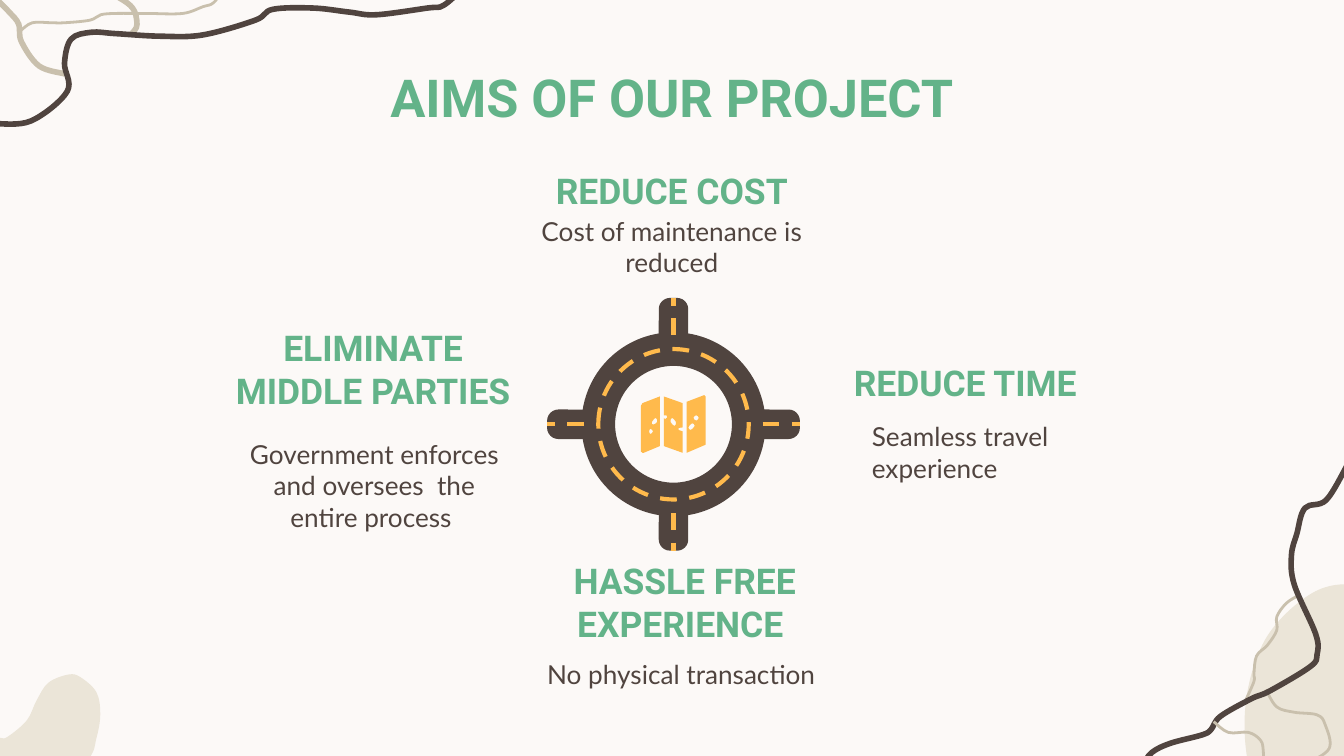
from lxml import etree
from pptx import Presentation
from pptx.dml.color import RGBColor
from pptx.enum import dml, shapes, text
from pptx.oxml import ns
from pptx.util import Pt

CREAM, SAND, TAN = "FCF9F7", "EBE5D8", "C9C0AD"
BROWN, GREEN, YELLOW = "50443F", "63B389", "FFBA4C"
color = RGBColor.from_string
CENTER, LEFT = text.PP_ALIGN.CENTER, text.PP_ALIGN.LEFT
TOP, MIDDLE, BOTTOM = text.MSO_ANCHOR.TOP, text.MSO_ANCHOR.MIDDLE, text.MSO_ANCHOR.BOTTOM

presentation = Presentation()
presentation.slide_width, presentation.slide_height = Pt(720), Pt(405)
slide = presentation.slides.add_slide(presentation.slide_layouts[6])
slide.background.fill.solid()
slide.background.fill.fore_color.rgb = color(CREAM)


def bend(segments, closed):
    """Turn the lines through a contour's knots into smooth Bezier curves."""
    knots = [(int(s[0].get("x")), int(s[0].get("y"))) for s in segments]
    before, after = (knots[-2], knots[1]) if closed else (knots[0], knots[-1])
    padded = [before, *knots, after]
    for segment, a, b, c, d in zip(segments[1:], padded, padded[1:], padded[2:], padded[3:]):
        controls = [[q + (r - p) / 6 for p, q, r in zip(a, b, c)],
                    [r - (s - q) / 6 for q, r, s in zip(b, c, d)]]
        curve = etree.Element(ns.qn("a:cubicBezTo"))
        for x, y in [*controls, c]:
            etree.SubElement(curve, ns.qn("a:pt"), x=str(round(x)), y=str(round(y)))
        segment.getparent().replace(segment, curve)


def add_outline(contours, fill=None, line=None, width=0, straight=0):
    """Draw contours as one shape, closed if filled; the first `straight` keep corners."""
    builder = None
    for contour in contours:
        start, *rest = [(Pt(x), Pt(y)) for x, y in contour]
        if builder is None:
            builder = slide.shapes.build_freeform(*start, scale=1.0)
        else:
            builder.move_to(*start)
        builder.add_line_segments(rest + [start] if fill else rest, close=bool(fill))
    shape = builder.convert_to_shape()
    segments = [s for s in shape._element.iter(ns.qn("a:moveTo"), ns.qn("a:lnTo"))]
    first = 0
    for index, contour in enumerate(contours):
        end = first + len(contour) + bool(fill)
        if index >= straight:
            bend(segments[first:end], bool(fill))
        first = end
    shape.shadow.inherit = False
    if fill:
        shape.fill.solid()
        shape.fill.fore_color.rgb = color(fill)
        shape.line.fill.background()
    else:
        shape.fill.background()
        shape.line.color.rgb = color(line)
        shape.line.width = Pt(width)


# Corner decoration
right_blob = [(747.4, 324), (726.5, 313.5), (703.4, 317.5), (679.3, 340.2), (668, 372.2),
              (668.2, 406.4), (679, 435.6), (687.6, 446.4), (779.8, 453.6), (799.2, 406.8),
              (784.8, 397.4), (772.6, 389.5), (758.2, 343.4)]
left_blob = [(-43.2, 352.1), (-56.9, 357.1), (-66.2, 370.1), (-66.2, 395.3), (-49.7, 422.6),
             (-17.3, 437), (-3.6, 438.5), (28.8, 429.8), (47.5, 406.8), (51.6, 395.8),
             (53.7, 383), (51.7, 371), (43.2, 362.9), (36.7, 361.4), (25.9, 365.8),
             (19.6, 375.3), (14.4, 385.9), (4.3, 394.6), (0, 395.3), (-7.9, 392.4),
             (-15.1, 375.8), (-26.6, 358.6)]
strands = [
    (TAN, 3, [(70.6, 18), (73.4, 13), (69.8, 2.9), (52.6, -7.2)]),
    (TAN, 1.5, [(678.2, 369.4), (684, 378.7), (693.4, 381.6), (705.6, 383), (709.9, 388.1),
                (712.1, 401), (699.1, 409.7)]),
    (TAN, 1.5, [(695.5, 319), (689, 323.3), (684, 330.5), (684, 337.7), (679, 345.6),
                (673.2, 351.4), (671.8, 360.7), (671.8, 365), (667.4, 375.1)]),
    (BROWN, 3, [(722.2, 248.4), (710.6, 267.8), (699.1, 272.2), (694.8, 285.8), (691.9, 297.4),
                (693.4, 313.2), (704.9, 339.8), (705.6, 350.6), (702, 357.1), (680.4, 370.1),
                (670.3, 374.4), (653.8, 383.8), (648.7, 391), (643.7, 393.8), (627.1, 398.2),
                (617, 403.2), (612, 410.4)]),
    (TAN, 1.5, [(650.2, 386.6), (658.1, 392.4), (668.9, 392.4), (675.4, 396.7),
                (676.8, 402.5), (676.8, 409.7)]),
    (TAN, 3, [(34.6, 39.6), (20.9, 35.3), (11.5, 22.3), (10.1, 13), (5, 6.5), (-2.2, -0.7)]),
    (BROWN, 3, [(-3.6, 66.2), (16.6, 64.8), (36, 49), (34.6, 33.8), (38.2, 20.9), (49, 17.3),
                (61.9, 18), (85.7, 19.4), (108.7, 18.7), (136.8, 10.8), (146.2, 5),
                (167.8, 4.3), (187.2, 6.5), (201.6, 7.9), (229, 4.3), (237.6, 2.9),
                (248.4, -6.5)]),
    (TAN, 1.5, [(10.8, 16.6), (17.3, 12.2), (27.4, 12.2), (34.6, 12.2), (48.2, 10.8),
                (54, 7.9), (61.9, 7.2), (73.4, 7.2), (79.9, 7.2), (97.9, 7.2), (108.7, 3.6),
                (114.5, 1.4), (120.2, -6.5)]),
]
add_outline([right_blob], fill=SAND)
for line_color, width, knots in strands:
    add_outline([knots], line=line_color, width=width)
add_outline([left_blob], fill=SAND)

# Roundabout: road ring, four arms with lane marks, dashed ring on top
center_x, center_y, diameter = 360.8, 227.3, 80.6
arm_length, arm_width, arm_distance = 27.4, 15.8, 54
mark_start, mark_end = 47.8, 67.7
ring_box = [Pt(center_x - diameter / 2), Pt(center_y - diameter / 2), Pt(diameter), Pt(diameter)]

road = slide.shapes.add_shape(shapes.MSO_SHAPE.OVAL, *ring_box)
road.shadow.inherit = False
road.fill.solid()
road.fill.fore_color.rgb = color(CREAM)
road.line.color.rgb = color(BROWN)
road.line.width = Pt(18)

for dx, dy in [(0, 1), (0, -1), (-1, 0), (1, 0)]:
    arm = slide.shapes.add_shape(
        shapes.MSO_SHAPE.ROUNDED_RECTANGLE,
        Pt(center_x + dx * arm_distance - arm_length / 2),
        Pt(center_y + dy * arm_distance - arm_width / 2), Pt(arm_length), Pt(arm_width))
    arm.adjustments[0] = 0.38
    arm.rotation = 270 if dy else 0
    arm.shadow.inherit = False
    arm.fill.solid()
    arm.fill.fore_color.rgb = color(BROWN)
    arm.line.fill.background()
    mark = slide.shapes.add_connector(
        shapes.MSO_CONNECTOR.STRAIGHT,
        Pt(center_x + dx * mark_start), Pt(center_y + dy * mark_start),
        Pt(center_x + dx * mark_end), Pt(center_y + dy * mark_end))
    mark.line.color.rgb = color(YELLOW)
    mark.line.width = Pt(2.25)
    mark.line.dash_style = dml.MSO_LINE.DASH
    etree.SubElement(mark._element.spPr, ns.qn("a:effectLst"))

lane = slide.shapes.add_shape(shapes.MSO_SHAPE.OVAL, *ring_box)
lane.shadow.inherit = False
lane.fill.background()
lane.line.color.rgb = color(YELLOW)
lane.line.width = Pt(2.25)
lane.line.dash_style = dml.MSO_LINE.DASH

# Text: left, top, width, height, words, anchor, alignment, size, font, colour
heading = (19, "Roboto", GREEN)
body = (14, "Lato", BROWN)
labels = [
    (59.8, 29.2, 600, 45.4, "AIMS OF OUR PROJECT", MIDDLE, CENTER, 28, "Roboto", GREEN),
    (283.3, 310.7, 167, 41.8, "HASSLE FREE EXPERIENCE ", BOTTOM, CENTER, *heading),
    (283.3, 345.6, 167, 45.4, "No physical transaction ", TOP, CENTER, *body),
    (276.4, 78.5, 167, 41.8, "REDUCE COST", BOTTOM, CENTER, *heading),
    (276.4, 108.2, 167, 53.3, "Cost of maintenance is reduced", TOP, CENTER, *body),
    (450.3, 181.4, 167, 41.8, "REDUCE TIME", BOTTOM, LEFT, *heading),
    (460, 218.2, 113, 45.4, "Seamless travel experience", TOP, LEFT, *body),
    (116.4, 185.8, 167, 41.8, "ELIMINATE MIDDLE PARTIES", BOTTOM, CENTER, *heading),
    (124.6, 227.7, 152, 67.7, "Government enforces and oversees  the entire process ",
     TOP, CENTER, *body),
]
for left, top, width, height, words, anchor, alignment, size, font, font_color in labels:
    frame = slide.shapes.add_textbox(Pt(left), Pt(top), Pt(width), Pt(height)).text_frame
    frame.word_wrap = True
    frame.vertical_anchor = anchor
    frame.margin_left = frame.margin_right = frame.margin_top = frame.margin_bottom = Pt(7.2)
    paragraph = frame.paragraphs[0]
    paragraph.text = words
    paragraph.alignment = alignment
    paragraph.font.size = Pt(size)
    paragraph.font.name = font
    paragraph.font.bold = font == "Roboto"
    paragraph.font.color.rgb = color(font_color)

# Folded map: each panel with the holes of its dotted route
map_panels = [
    ([(353.5, 212.4), (344.2, 216), (343.4, 217.4), (343.4, 241.9), (344.2, 242.6),
      (344.9, 242.6), (353.5, 239)],
     [[(351.4, 223.9), (352.1, 226.1), (349.9, 227.5), (349.2, 226.1)],
      [(348.5, 229.7), (349.9, 231.1), (348.5, 232.6), (347.8, 231.1)]]),
    ([(355.7, 212.4), (355.7, 222.5), (357.1, 222.5), (357.5, 223.6), (356.4, 224.6),
      (355.7, 223.9), (355.7, 239), (365.8, 242.6), (365.8, 231.1), (363.6, 230.4),
      (363.6, 229.3), (365.8, 229), (365.8, 216)],
     [[(360, 223.9), (362.2, 226.1), (361.4, 228.2), (359.3, 226.1)]]),
    ([(377.3, 211.7), (367.9, 215.3), (367.9, 242.6), (378, 238.3), (378, 212.4)],
     [[(373, 222.5), (374.4, 223.9), (373, 225.4), (371.5, 223.9)],
      [(370.8, 226.8), (372.2, 228.2), (370.1, 230.4), (368.8, 229)]]),
]
for panel, holes in map_panels:
    add_outline([panel, *holes], fill=YELLOW, straight=1)

presentation.save("out.pptx")
